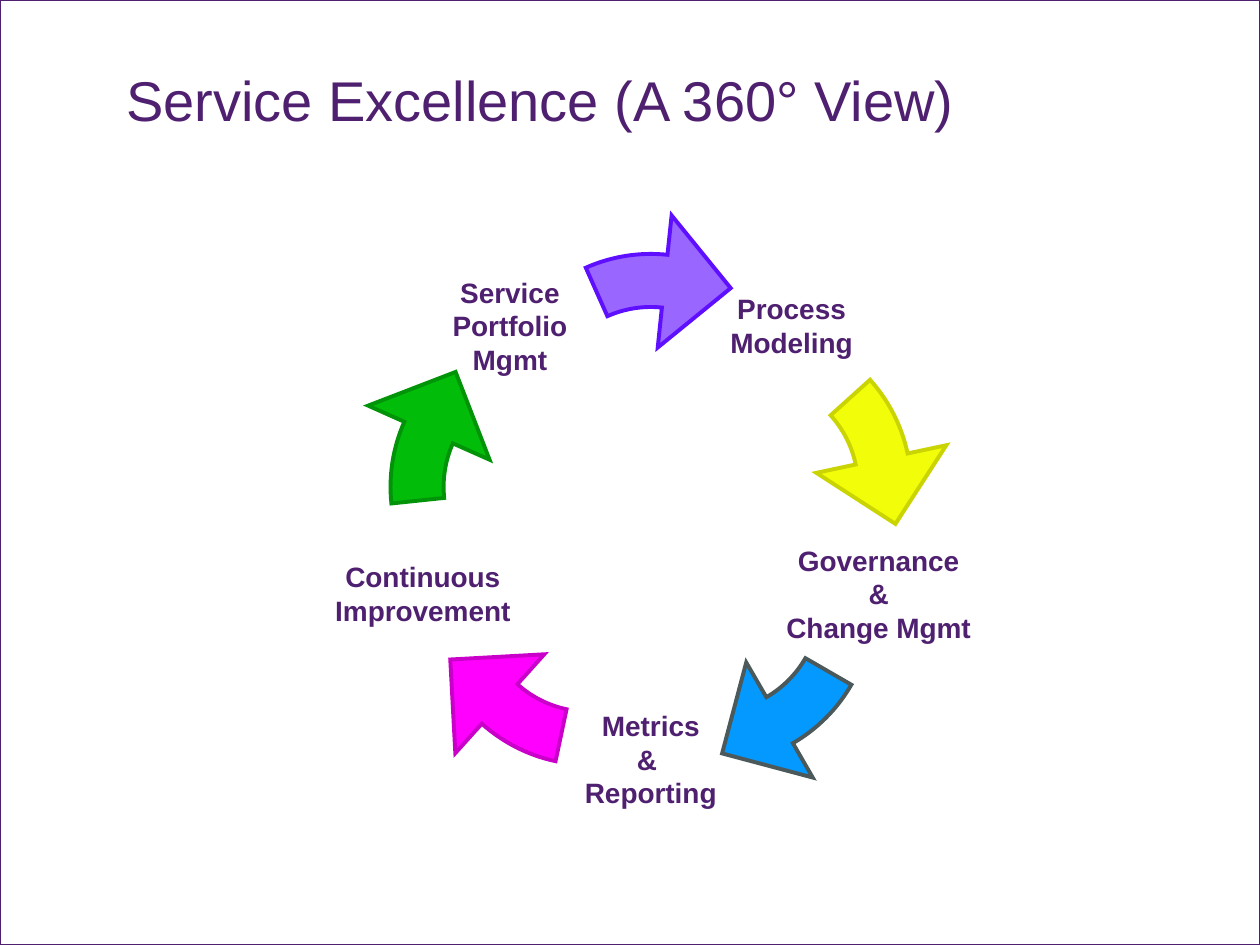
import math

from lxml import etree
from pptx import Presentation
from pptx import util as u
from pptx.dml import color
from pptx.enum import shapes, text
from pptx.oxml import ns

PURPLE = "4F2070"
STEP = 72
ARROWS = [("9966FF", "5F0FFF"), ("F1FD09", "CAD402"), ("0399FF", "4B595B"),
          ("FF00FF", "CA00CA"), ("01BD0A", "019308")]
LABELS = ["Process\nModeling", "Governance\n&\nChange Mgmt", "Metrics\n& \nReporting",
          "Continuous\nImprovement", "Service\nPortfolio\nMgmt"]


def rgb(value):
    """Return the colour for a hex string."""
    return color.RGBColor.from_string(value)


def polar(cx, cy, radius, angle):
    """Return the point at a clockwise angle from the top of a circle."""
    a = math.radians(angle)
    return cx + radius * math.sin(a), cy - radius * math.cos(a)


def arc(radius, start, end):
    """Return the polar control points and end of a Bezier arc."""
    k = math.atan(4 / 3 * math.tan(math.radians(end - start) / 4))
    far, swing = radius / math.cos(k), math.degrees(k)
    return [(far, start + swing), (far, end - swing), (radius, end)]


def write(tf, content, size=16, bold=False, align=text.PP_ALIGN.LEFT,
          anchor=text.MSO_ANCHOR.TOP, wrap=True, spacing=1.0):
    """Fill a text frame with one formatted paragraph per line."""
    tf.margin_left = tf.margin_right = tf.margin_top = tf.margin_bottom = 0
    tf.auto_size = text.MSO_AUTO_SIZE.NONE
    tf.word_wrap, tf.vertical_anchor = wrap, anchor
    tf.text = content
    for p in tf.paragraphs:
        p.alignment, p.line_spacing = align, spacing
        for r in p.runs:
            r.font.name, r.font.size, r.font.bold = "Arial", u.Pt(size), bold
            r.font.color.rgb = rgb(PURPLE)


def style(sp, line, width, fill=None):
    """Set the mitred outline and fill of a shape and drop its shadow."""
    sp.shadow.inherit = False
    sp.line.color.rgb, sp.line.width = rgb(line), u.Pt(width)
    etree.SubElement(sp.line._get_or_add_ln(), ns.qn("a:miter"), lim="800000")
    if fill:
        sp.fill.solid()
        sp.fill.fore_color.rgb = rgb(fill)
    else:
        sp.fill.background()


def add_frame(s, x, y, w, h):
    """Draw the thin border of the slide."""
    sp = s.shapes.add_shape(shapes.MSO_SHAPE.RECTANGLE, x, y, w, h)
    style(sp, PURPLE, 0.75)


def add_title(s, x, y, w, h):
    """Place the title placeholder."""
    sp = s.shapes.title
    sp.left, sp.top, sp.width, sp.height = (u.Cm(v) for v in (x, y, w, h))
    write(sp.text_frame, "Service Excellence (A 360° View)", size=32, spacing=0.9)


def add_arrow(s, cx, cy, turn, fill, line, side=6.43):
    """Draw one curved arrow in a square box, turned about its centre."""
    commands = [("moveTo", [(2.15, 6)]), ("cubicBezTo", arc(2.15, 6, -24)),
                ("lnTo", [(3.22, -24)]), ("cubicBezTo", arc(3.22, -24, 6)),
                ("lnTo", [(4.02, 6)]), ("lnTo", [(3, 32.5)]),
                ("lnTo", [(1.34, 6)]), ("close", [])]
    fb = s.shapes.build_freeform(0, 0)
    fb.add_line_segments([(u.Cm(side), 0), (u.Cm(side), u.Cm(side))])
    sp = fb.convert_to_shape(u.Cm(cx - side / 2), u.Cm(cy - side / 2))
    path = next(sp._element.iter(ns.qn("a:path")))
    for child in list(path):
        path.remove(child)
    for tag, points in commands:
        command = etree.SubElement(path, ns.qn("a:" + tag))
        for radius, angle in points:
            x, y = (u.Cm(v) for v in polar(side / 2, side / 2, radius, angle))
            etree.SubElement(command, ns.qn("a:pt"), x=str(x), y=str(y))
    sp.rotation = turn
    style(sp, line, 2.25, fill)


def add_label(s, cx, cy, content, side=2.36):
    """Place a bold label centred on a point."""
    sp = s.shapes.add_textbox(u.Cm(cx - side / 2), u.Cm(cy - side / 2),
                              u.Cm(side), u.Cm(side))
    write(sp.text_frame, content, bold=True, align=text.PP_ALIGN.CENTER,
          anchor=text.MSO_ANCHOR.MIDDLE, wrap=False)


def add_cycle(s, x, y, size):
    """Draw the ring of arrows with a label between each pair."""
    cx, cy = x + size / 2, y + size / 2
    for i, (fill, line) in enumerate(ARROWS):
        add_arrow(s, *polar(cx, cy, 2.13, i * STEP), i * STEP, fill, line)
    for i, content in enumerate(LABELS):
        add_label(s, *polar(cx, cy, 4.83, (i + 0.5) * STEP), content)


def main():
    """Build and save the slide."""
    prs = Presentation()
    prs.slide_width, prs.slide_height = u.Cm(25.4), u.Cm(19.05)
    s = prs.slides.add_slide(prs.slide_layouts[5])
    add_frame(s, 0, 0, prs.slide_width, prs.slide_height)
    add_title(s, 2.54, 1.47, 21.16, 1.7)
    add_cycle(s, 7.12, 4.47, 12)
    prs.save("out.pptx")


if __name__ == "__main__":
    main()
